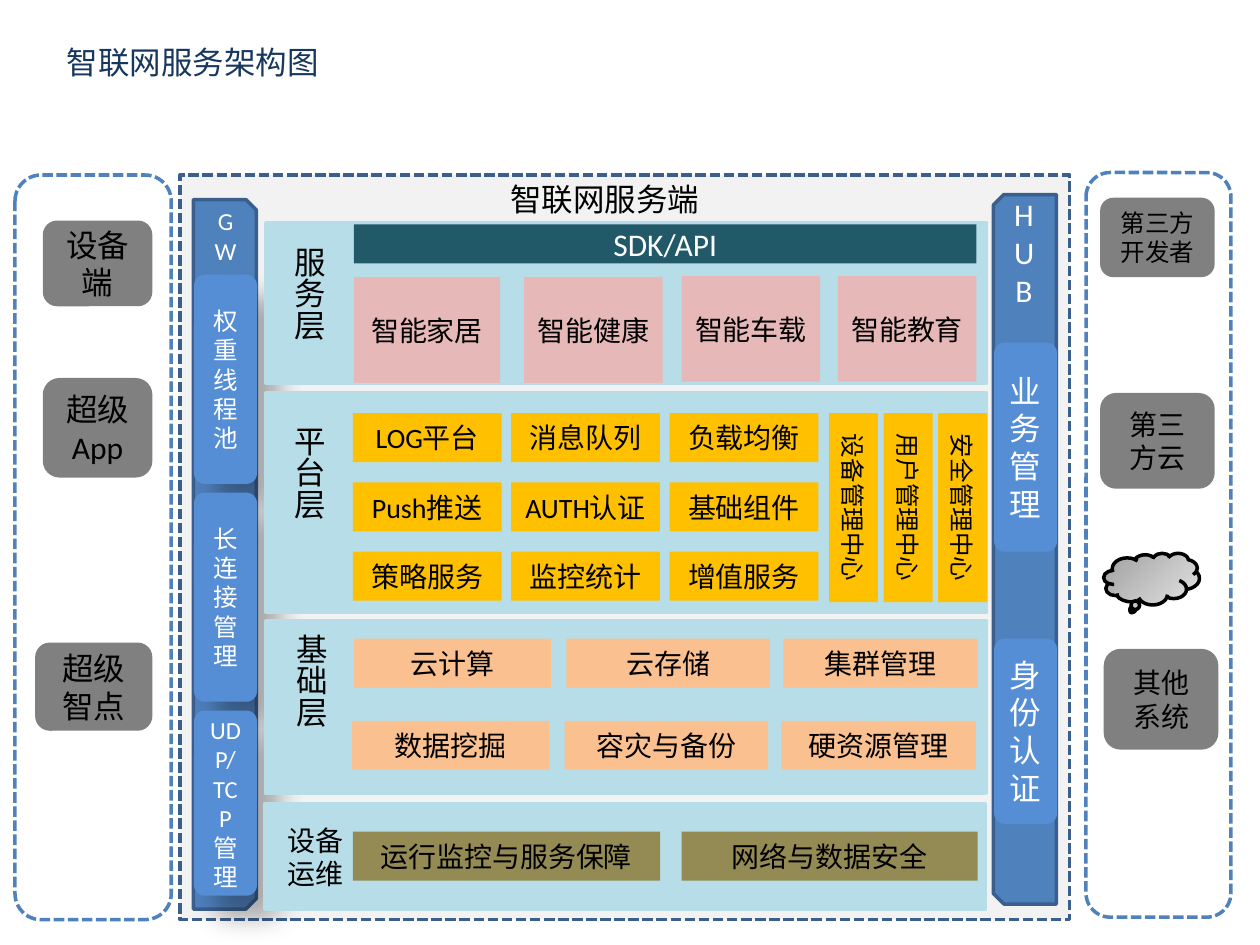
import pptx
import pptx.util
import pptx.dml.color
import pptx.enum.dml
import pptx.enum.shapes
import pptx.enum.text
from dataclasses import dataclass
from lxml import etree

Pt = pptx.util.Pt
SHAPE = pptx.enum.shapes.MSO_SHAPE
ALIGN = pptx.enum.text.PP_ALIGN
ANCHOR = pptx.enum.text.MSO_ANCHOR
NS = "http://schemas.openxmlformats.org/drawingml/2006/main"


@dataclass(frozen=True)
class Theme:
    font: str = "Calibri"
    large: int = 18
    medium: int = 16
    small: int = 14
    line: int = 2
    title: str = "17375E"
    black: str = "000000"
    white: str = "FFFFFF"
    blue: str = "4F81BD"
    edge: str = "3A5F8C"
    module: str = "558ED5"
    node: str = "808080"
    server: str = "F2F2F2"
    layer: str = "B7DEE8"
    api: str = "215968"
    scene: str = "E6B9B8"
    platform: str = "FFC000"
    base: str = "FAC090"
    ops: str = "948A54"
    cloud: tuple = ("A0A0A0", "E3E3E3")


T = Theme()


def rgb(value):
    return pptx.dml.color.RGBColor.from_string(value)


def style_text(tf, size, color, align):
    for p in tf.paragraphs:
        p.alignment = align
        for r in p.runs:
            r.font.name = T.font
            r.font.size = Pt(size)
            r.font.color.rgb = rgb(color)


def add_box(s, x, y, w, h, fill, text="", size=T.medium, color=T.black,
            kind=SHAPE.RECTANGLE, line=None, dashed=False, turn=0):
    if turn:
        x, y, w, h = x + (w - h) / 2, y + (h - w) / 2, h, w
    sp = s.shapes.add_shape(kind, Pt(x), Pt(y), Pt(w), Pt(h))
    sp.rotation = turn
    sp.shadow.inherit = False
    sp.fill.solid()
    sp.fill.fore_color.rgb = rgb(fill)
    if line:
        sp.line.color.rgb = rgb(line)
        sp.line.width = Pt(T.line)
        if dashed:
            sp.line.dash_style = pptx.enum.dml.MSO_LINE.SQUARE_DOT
    else:
        sp.line.fill.background()
    if text:
        tf = sp.text_frame
        tf.word_wrap = True
        tf.text = text
        style_text(tf, size, color, ALIGN.CENTER)
    return sp


def cast_shadow(sp):
    effects = sp._element.spPr.find(f"{{{NS}}}effectLst")
    shadow = etree.SubElement(
        effects, f"{{{NS}}}outerShdw", blurRad=str(Pt(15)), dist=str(Pt(18)),
        dir="2700000", algn="tl", rotWithShape="0")
    color = etree.SubElement(shadow, f"{{{NS}}}srgbClr", val=T.black)
    etree.SubElement(color, f"{{{NS}}}alpha", val="30000")


def add_title(s, x, y, w, h):
    sp = s.shapes.title
    sp.left, sp.top, sp.width, sp.height = Pt(x), Pt(y), Pt(w), Pt(h)
    tf = sp.text_frame
    tf.text = "智联网服务架构图"
    tf.word_wrap = True
    tf.auto_size = pptx.enum.text.MSO_AUTO_SIZE.NONE
    tf.vertical_anchor = ANCHOR.TOP
    style_text(tf, T.large, T.title, ALIGN.LEFT)


def add_side(s, x, y, w, h, nodes):
    add_box(s, x, y, w, h, T.white, kind=SHAPE.ROUNDED_RECTANGLE,
            line=T.blue, dashed=True)
    for dx, dy, nw, nh, text, size in nodes:
        add_box(s, x + dx, y + dy, nw, nh, T.node, text, size,
                kind=SHAPE.ROUNDED_RECTANGLE)


def add_cloud(s, x, y, w, h):
    sp = add_box(s, x, y, w, h, T.white, kind=SHAPE.CLOUD_CALLOUT, line=T.black)
    sp.fill.gradient()
    sp.fill.gradient_angle = 315
    for stop, color in zip(sp.fill.gradient_stops, T.cloud):
        stop.color.rgb = rgb(color)


def add_server(s, x, y, w, h):
    add_box(s, x, y, w, h, T.server, line=T.edge, dashed=True)
    add_box(s, x + 149, y + 5, 187.2, 17.3, T.server, "智联网服务端", T.large,
            line=T.server)


def add_bar(s, x, y, w, h, turn, head, head_box, modules, size, shaded):
    add_box(s, x, y, w, h, T.blue, kind=SHAPE.SNIP_2_SAME_RECTANGLE,
            line=T.edge, turn=turn)
    dx, dy, hw, hh = head_box
    add_box(s, x + dx, y + dy, hw, hh, T.blue, head, size, T.white,
            SHAPE.ROUNDED_RECTANGLE, T.blue)
    for dy, mh, text in modules:
        sp = add_box(s, x + 0.4, y + dy, w, mh, T.module, text, size, T.white,
                     SHAPE.ROUNDED_RECTANGLE)
        if shaded:
            cast_shadow(sp)


def add_layer(s, x, y, w, h, label, label_box, size=T.large, vertical=True):
    add_box(s, x, y, w, h, T.layer, line=T.layer)
    dx, dy, lw, lh = label_box
    sp = add_box(s, x + dx, y + dy, lw, lh, T.layer, label, size, line=T.layer)
    if vertical:
        sp.text_frame._txBody.bodyPr.set("vert", "eaVert")


def add_service_layer(s, x, y, w, h):
    add_layer(s, x, y, w, h, "服务层", (0, 6.5, 49, 82))
    add_box(s, x + 50.4, y + 0.8, 355.7, 22.3, T.api, "SDK/API", T.large, T.white)
    scenes = [(50.4, 31, 83.5, "智能家居"), (147.6, 31, 79.2, "智能健康"),
              (237.6, 30.3, 79.2, "智能车载"), (326.9, 30.3, 79.2, "智能教育")]
    for dx, dy, bw, text in scenes:
        add_box(s, x + dx, y + dy, bw, 60.5, T.scene, text)


def add_platform_layer(s, x, y, w, h):
    add_layer(s, x, y, w, h, "平台层", (0, 11.5, 49, 102.2))
    grid = [["LOG平台", "消息队列", "负载均衡"],
            ["Push推送", "AUTH认证", "基础组件"],
            ["策略服务", "监控统计", "增值服务"]]
    for i, row in enumerate(grid):
        for j, text in enumerate(row):
            add_box(s, x + 49.7 + 90.5 * j, y + 11.5 + 39.6 * i, 85, 28,
                    T.platform, text)
    for i, text in enumerate(["设备管理中心", "用户管理中心", "安全管理中心"]):
        add_box(s, x + 321.8 + 31.2 * i, y + 11.5, 28, 108, T.platform, text,
                T.small, turn=90)


def add_base_layer(s, x, y, w, h):
    add_layer(s, x, y, w, h, "基础层", (1.4, 0, 49, h))
    rows = [(50.4, 10, ["云计算", "云存储", "集群管理"]),
            (49.4, 56.9, ["数据挖掘", "容灾与备份", "硬资源管理"])]
    columns = [(0, 112.7), (121.4, 116.3), (245.2, 111.2)]
    for dx, dy, texts in rows:
        for (cx, cw), text in zip(columns, texts):
            add_box(s, x + dx + cx, y + dy, cw, 28, T.base, text)


def add_ops_layer(s, x, y, w, h):
    add_layer(s, x, y, w, h, "设备\n运维", (2.2, 0, 53.3, h), T.medium, False)
    for dx, bw, text in [(50.4, 175.7, "运行监控与服务保障"),
                         (238.3, 169.2, "网络与数据安全")]:
        add_box(s, x + dx, y + 15.8, bw, 28, T.ops, text)


def main():
    prs = pptx.Presentation()
    prs.slide_width, prs.slide_height = Pt(720), Pt(540)
    s = prs.slides.add_slide(prs.slide_layouts[5])
    add_title(s, 31, 20.9, 425.5, 36.7)
    add_side(s, 8.6, 100, 89.3, 425.5, [
        (15.9, 26, 62.6, 49, "设备端", T.large),
        (15.9, 116, 62.6, 56.9, "超级\nApp", T.large),
        (11.5, 267.2, 67, 50.4, "超级\n智点", T.large)])
    add_side(s, 620.6, 98.6, 82.8, 425.5, [
        (8, 14.4, 65.5, 45.4, "第三方开发者", T.small),
        (8, 126, 65.5, 54.7, "第三\n方云", T.medium),
        (10.1, 272.2, 65.5, 57.6, "其他\n系统", T.medium)])
    add_server(s, 103, 100, 508.3, 425.5)
    add_bar(s, 110.5, 114.1, 36, 405.4, 90, "GW", (3.3, 5.4, 30.2, 30.2),
            [(42.9, 119.5, "权重线程池"), (167.4, 119.5, "长连接管理"),
             (292, 105.8, "UDP/TCP管理")], T.small, True)
    add_bar(s, 567.7, 111.2, 36, 405.4, 270, "HUB", (3.3, 3.3, 28.1, 59),
            [(84.6, 119.5, "业务管理"), (253.8, 105.8, "身份认证")],
            T.large, False)
    add_service_layer(s, 151.9, 127.4, 411.8, 91.4)
    add_platform_layer(s, 151.9, 224.6, 411.8, 125.3)
    add_base_layer(s, 151.9, 355, 411.8, 98.6)
    add_ops_layer(s, 151.2, 459.4, 411.8, 60.5)
    add_cloud(s, 630.7, 316.1, 54.7, 29.5)
    prs.save("out.pptx")


if __name__ == "__main__":
    main()
